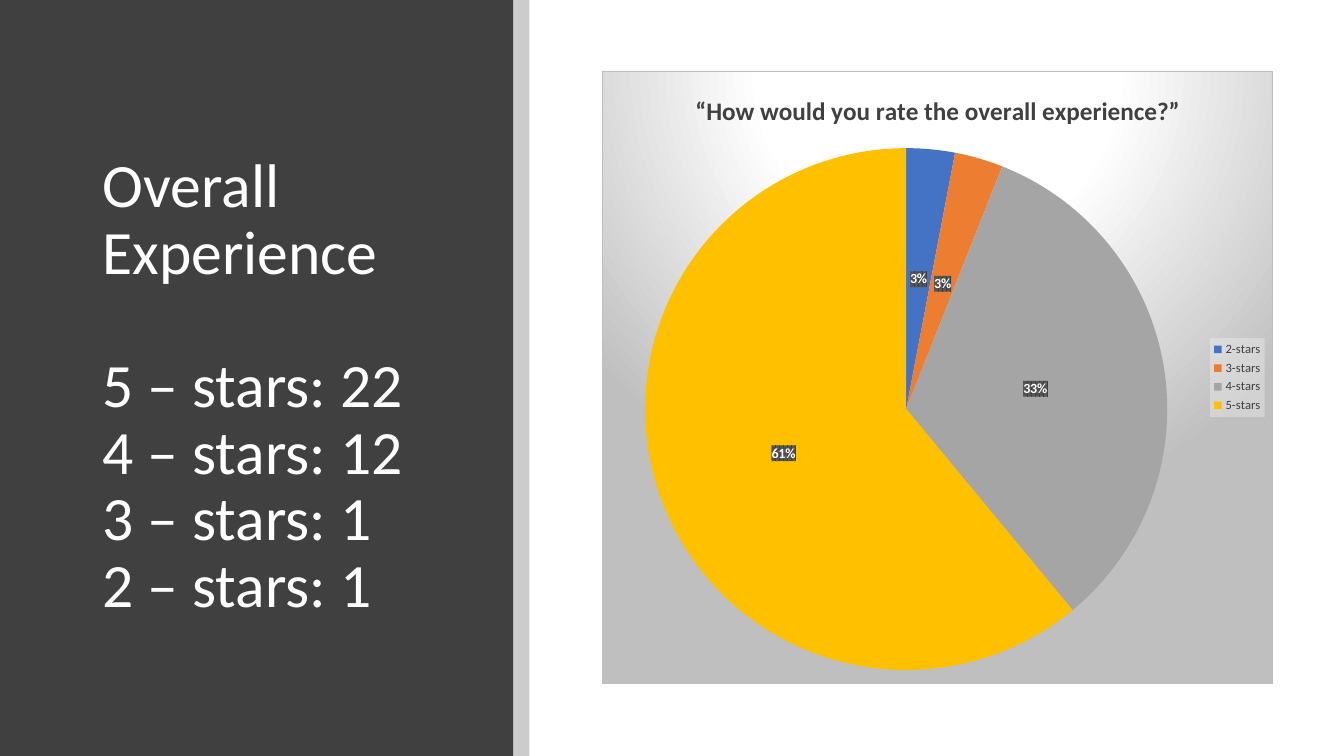
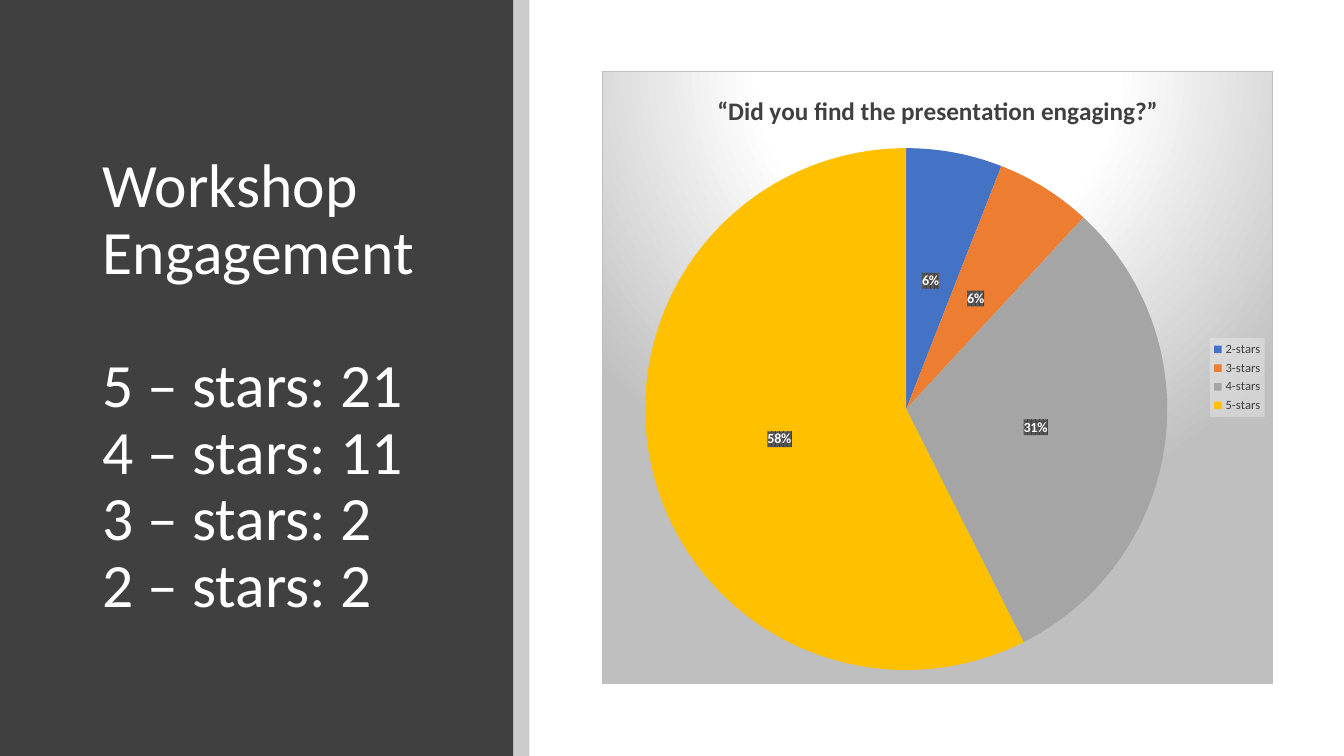
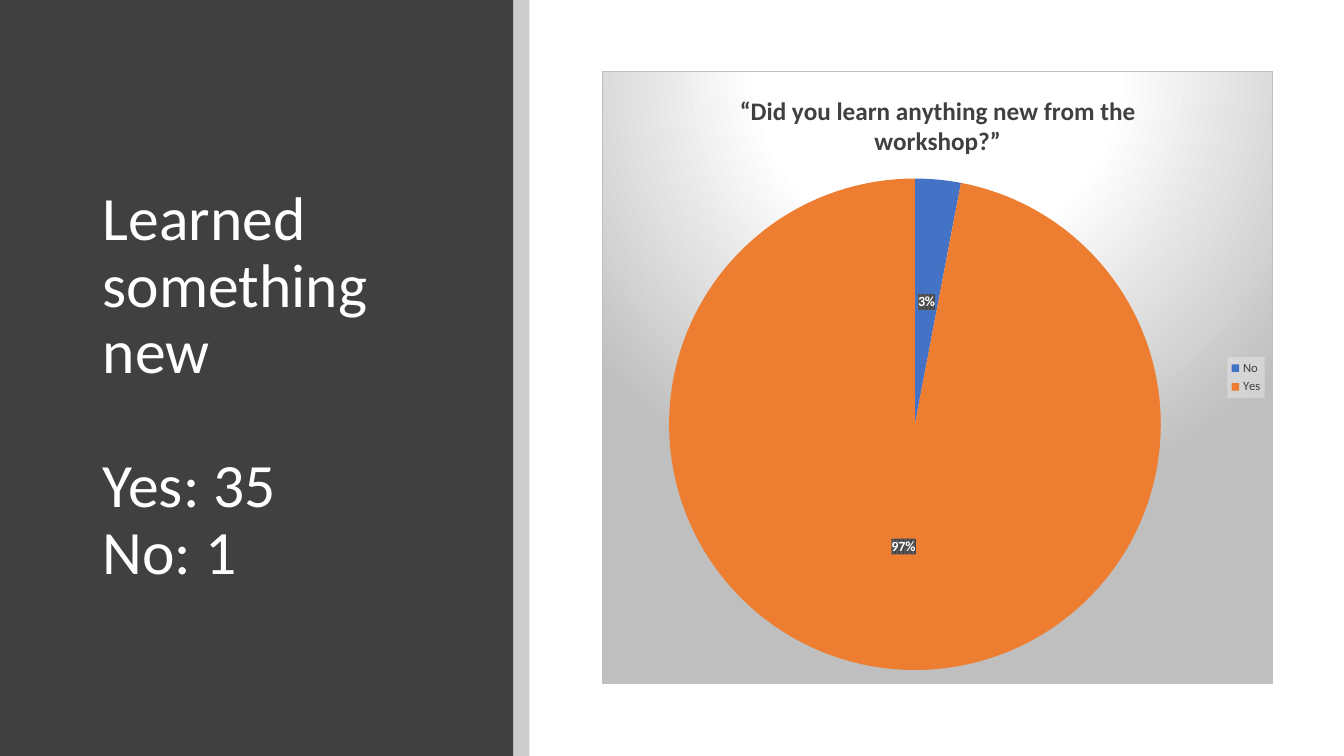
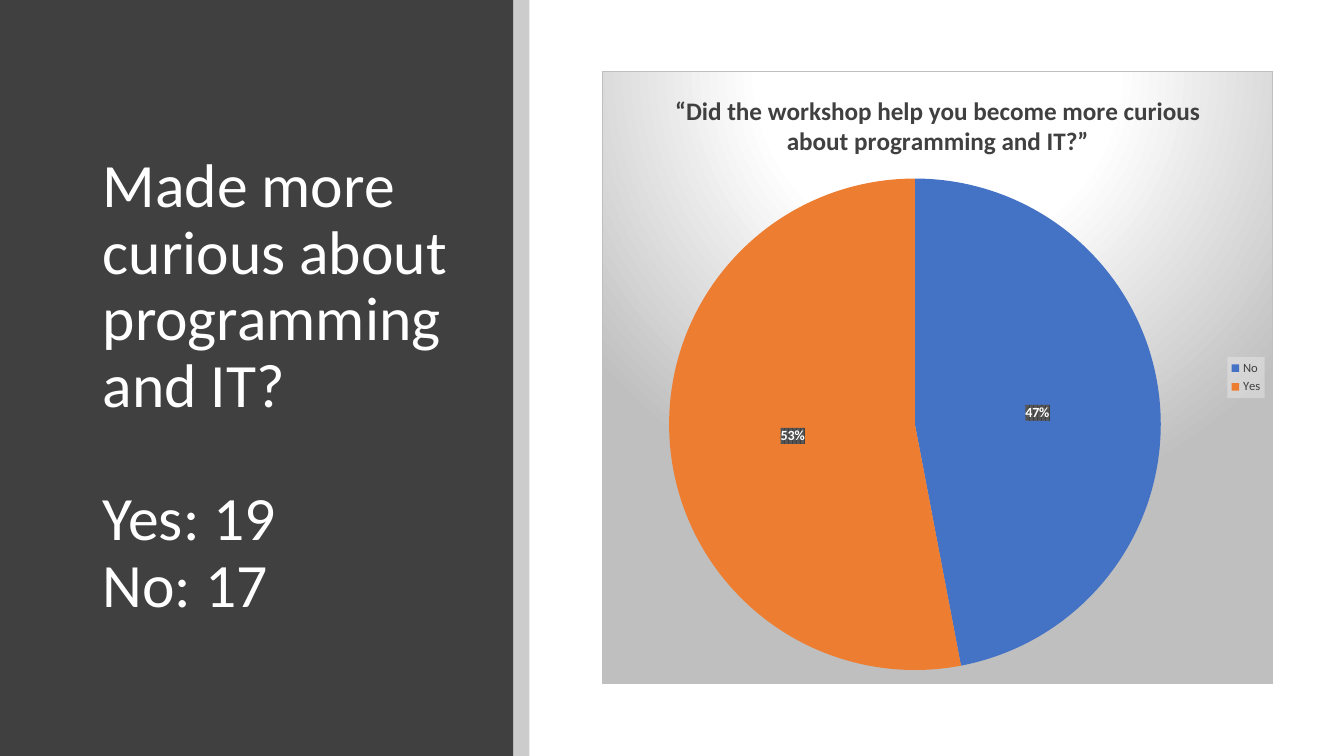
from dataclasses import dataclass

import lxml.etree
import pptx
import pptx.chart.data
import pptx.dml.color
import pptx.enum.chart
import pptx.enum.shapes
import pptx.enum.text
import pptx.oxml
import pptx.util

WIDTH, HEIGHT = 13.33, 7.5
DRAWING = "http://schemas.openxmlformats.org/drawingml/2006/main"
CHART = "http://schemas.openxmlformats.org/drawingml/2006/chart"


@dataclass(frozen=True)
class Theme:
    font: str = "Calibri"
    dark: str = "404040"
    black: str = "000000"
    white: str = "FFFFFF"
    border: str = "BFBFBF"
    label_weave: str = "595959"
    legend_back: str = "F2F2F2"
    slices: tuple = ("4472C4", "ED7D31", "A5A5A5", "FFC000")
    heading_size: int = 44
    question_size: int = 18
    label_size: int = 10
    legend_size: int = 9
    line_spacing: float = 0.9
    tally_gap: int = 48


THEME = Theme()

# Left, top, width and height in inches
PANEL = (0, 0, 5.09, HEIGHT)
STRIP = (5.09, 0, 0.16, HEIGHT)
SUMMARY = (0.92, 0.89, 3.65, 5.91)
PIE = (5.97, 0.7, 6.66, 6.09)

STARS = ("2-stars", "3-stars", "4-stars", "5-stars")
ANSWERS = ("No", "Yes")

SURVEY = (
    ("Overall Experience",
     ("5 – stars: 22", "4 – stars: 12", "3 – stars: 1", "2 – stars: 1"),
     "“How would you rate the overall experience?”", STARS, (3, 3, 33, 61)),
    ("Workshop Engagement",
     ("5 – stars: 21", "4 – stars: 11", "3 – stars: 2", "2 – stars: 2"),
     "“Did you find the presentation engaging?”", STARS, (6, 6, 31, 58)),
    ("Learned something new", ("Yes: 35", "No: 1"),
     "“Did you learn anything new from the workshop?”", ANSWERS, (3, 97)),
    ("Made more curious about programming and IT?", ("Yes: 19", "No: 17"),
     "“Did the workshop help you become more curious about programming and IT?”",
     ANSWERS, (47, 53)),
)


def inches(box):
    return [pptx.util.Inches(length) for length in box]


def rgb(color):
    return pptx.dml.color.RGBColor.from_string(color)


def format_font(font, size, color, bold=False):
    font.name = THEME.font
    font.size = pptx.util.Pt(size)
    font.bold = bold
    font.color.rgb = rgb(color)


def write(paragraph, text, size, color, bold=False, spacing=None, before=0):
    run = paragraph.add_run()
    run.text = text
    format_font(run.font, size, color, bold)
    if spacing:
        paragraph.line_spacing = spacing
    if before:
        paragraph.space_before = pptx.util.Pt(before)


def add_band(slide, box, color, opacity=None):
    band = slide.shapes.add_shape(
        pptx.enum.shapes.MSO_SHAPE.RECTANGLE, *inches(box))
    band.shadow.inherit = False
    band.line.fill.background()
    band.fill.solid()
    band.fill.fore_color.rgb = rgb(color)
    if opacity is not None:
        tint = band.fill._xPr.find(f".//{{{DRAWING}}}srgbClr")
        alpha = lxml.etree.SubElement(tint, f"{{{DRAWING}}}alpha")
        alpha.set("val", str(opacity * 1000))


def add_summary(slide, heading, tallies):
    frame = slide.shapes.add_textbox(*inches(SUMMARY)).text_frame
    frame.word_wrap = True
    frame.vertical_anchor = pptx.enum.text.MSO_ANCHOR.MIDDLE
    for index, line in enumerate((heading, *tallies)):
        paragraph = frame.add_paragraph() if index else frame.paragraphs[0]
        write(paragraph, line, THEME.heading_size, THEME.white,
              spacing=THEME.line_spacing,
              before=THEME.tally_gap if index == 1 else 0)


def color_xml(color, opacity=100):
    return (f'<a:srgbClr val="{color}"><a:alpha val="{opacity * 1000}"/>'
            '</a:srgbClr>')


def set_backdrop(element, fill_xml):
    """Give a chart part its fill; the schema wants it just before txPr."""
    backdrop = pptx.oxml.parse_xml(
        f'<c:spPr xmlns:c="{CHART}" xmlns:a="{DRAWING}">{fill_xml}</c:spPr>')
    element.find(f"{{{CHART}}}txPr").addprevious(backdrop)


def glow_xml():
    stops = "".join(
        f'<a:gs pos="{share * 1000}">{color_xml(color)}</a:gs>'
        for share, color in ((0, THEME.white), (39, THEME.white),
                             (100, THEME.border)))
    return (f'<a:gradFill><a:gsLst>{stops}</a:gsLst><a:path path="circle">'
            '<a:fillToRect l="50000" t="-80000" r="50000" b="180000"/>'
            '</a:path></a:gradFill>'
            f'<a:ln w="{pptx.util.Pt(0.75)}"><a:solidFill>'
            f'{color_xml(THEME.border)}</a:solidFill></a:ln>')


def add_pie(slide, question, categories, shares):
    data = pptx.chart.data.CategoryChartData()
    data.categories = categories
    data.add_series("Series 1", shares)
    chart = slide.shapes.add_chart(
        pptx.enum.chart.XL_CHART_TYPE.PIE, *inches(PIE), data).chart
    format_font(chart.font, THEME.label_size, THEME.black)
    set_backdrop(chart._chartSpace, glow_xml())

    chart.has_title = True
    write(chart.chart_title.text_frame.paragraphs[0], question,
          THEME.question_size, THEME.dark, bold=True)

    chart.has_legend = True
    legend = chart.legend
    legend.position = pptx.enum.chart.XL_LEGEND_POSITION.RIGHT
    legend.include_in_layout = False
    format_font(legend.font, THEME.legend_size, THEME.dark)
    set_backdrop(legend._element,
                 f'<a:solidFill>{color_xml(THEME.legend_back, 39)}</a:solidFill>')

    plot = chart.plots[0]
    plot.vary_by_categories = True
    series = plot.series[0]
    for index, color in enumerate(THEME.slices[:len(shares)]):
        fill = series.points[index].format.fill
        fill.solid()
        fill.fore_color.rgb = rgb(color)

    labels = series.data_labels
    labels.show_value = True
    labels.number_format = '0"%"'
    labels.number_format_is_linked = False
    labels.position = pptx.enum.chart.XL_LABEL_POSITION.CENTER
    format_font(labels.font, THEME.label_size, THEME.white, bold=True)
    set_backdrop(labels._element,
                 '<a:pattFill prst="pct75">'
                 f'<a:fgClr>{color_xml(THEME.dark)}</a:fgClr>'
                 f'<a:bgClr>{color_xml(THEME.label_weave)}</a:bgClr>'
                 '</a:pattFill>')


def main():
    deck = pptx.Presentation()
    deck.slide_width, deck.slide_height = inches((WIDTH, HEIGHT))
    blank = deck.slide_layouts[6]
    for heading, tallies, question, categories, shares in SURVEY:
        slide = deck.slides.add_slide(blank)
        add_band(slide, PANEL, THEME.dark)
        add_summary(slide, heading, tallies)
        add_band(slide, STRIP, THEME.black, opacity=20)
        add_pie(slide, question, categories, shares)
    deck.save("out.pptx")


if __name__ == "__main__":
    main()
